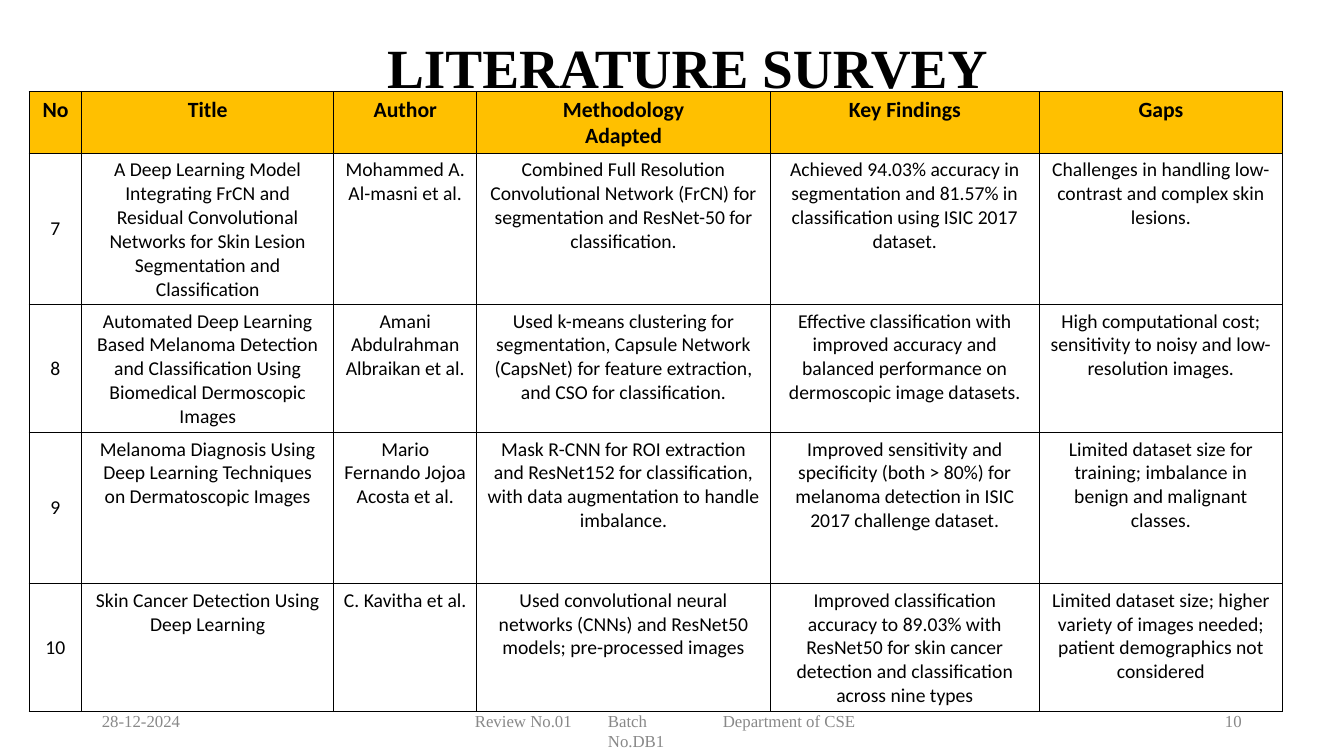
from dataclasses import dataclass

from lxml import etree
from pptx import Presentation
from pptx import util as u
from pptx.dml.color import RGBColor
from pptx.enum import text
from pptx.oxml.ns import qn


@dataclass(frozen=True)
class Theme:
    serif: str = "Times New Roman"
    sans: str = "Calibri"
    ink: str = "000000"
    gray: str = "888888"
    gold: str = "FFC000"
    white: str = "FFFFFF"
    title: float = 39.5
    head: float = 15.5
    body: float = 14
    foot: float = 12


THEME = Theme()
WIDE, HIGH = 13.33, 7.5
LEFT, TOP = 0.29, 0.91
COLS = [0.52, 2.5, 1.42, 2.91, 2.67, 2.41]
ROWS = [0.61, 1.5, 1.27, 1.5, 1.27]
FOOT = 7.06
NUDGE = 0.01

HEADS = ["No", "Title", "Author", "Methodology\nAdapted", "Key Findings", "Gaps"]
PAPERS = [
    ["7",
     "A Deep Learning Model Integrating FrCN and Residual Convolutional Networks "
     "for Skin Lesion Segmentation and Classification",
     "Mohammed A. Al-masni et al.",
     "Combined Full Resolution Convolutional Network (FrCN) for segmentation "
     "and ResNet-50 for classification.",
     "Achieved 94.03% accuracy in segmentation and 81.57% in classification "
     "using ISIC 2017 dataset.",
     "Challenges in handling low-contrast and complex skin lesions."],
    ["8",
     "Automated Deep Learning Based Melanoma Detection and Classification "
     "Using Biomedical Dermoscopic Images",
     "Amani Abdulrahman Albraikan et al.",
     "Used k-means clustering for segmentation, Capsule Network (CapsNet) "
     "for feature extraction, and CSO for classification.",
     "Effective classification with improved accuracy and balanced performance "
     "on dermoscopic image datasets.",
     "High computational cost; sensitivity to noisy and low-resolution images."],
    ["9",
     "Melanoma Diagnosis Using Deep Learning Techniques on Dermatoscopic Images",
     "Mario Fernando Jojoa Acosta et al.",
     "Mask R-CNN for ROI extraction and ResNet152 for classification, "
     "with data augmentation to handle imbalance.",
     "Improved sensitivity and specificity (both > 80%) for melanoma detection "
     "in ISIC 2017 challenge dataset.",
     "Limited dataset size for training; imbalance in benign and malignant classes."],
    ["10",
     "Skin Cancer Detection Using Deep Learning",
     "C. Kavitha et al.",
     "Used convolutional neural networks (CNNs) and ResNet50 models; "
     "pre-processed images",
     "Improved classification accuracy to 89.03% with ResNet50 for skin cancer "
     "detection and classification across nine types",
     "Limited dataset size; higher variety of images needed; "
     "patient demographics not considered"],
]
NOTES = [
    (1, 0.81, "28-12-2024"),
    (4.7, 1.05, "Review No.01"),
    (6.02, 0.95, "Batch No.DB1"),
    (7.16, 1.34, "Department of CSE"),
    (12.14, 0.24, "10"),
]


def write(frame, words, font=THEME.sans, size=THEME.body, color=THEME.ink,
          bold=False, align=text.PP_ALIGN.LEFT, lead=None, before=None):
    frame.text = words
    frame.word_wrap = True
    for para in frame.paragraphs:
        para.alignment = align
        para.line_spacing = lead
        para.space_before = before
        face = para.runs[0].font
        face.name, face.size, face.bold = font, u.Pt(size), bold
        face.color.rgb = RGBColor.from_string(color)


def pad(frame, top=0):
    frame.margin_left = u.Inches(NUDGE)
    frame.margin_right = frame.margin_bottom = 0
    frame.margin_top = u.Inches(top)
    frame.vertical_anchor = text.MSO_ANCHOR.TOP


def border(cell):
    props = cell._tc.get_or_add_tcPr()
    for side in ("lnL", "lnR", "lnT", "lnB"):
        line = etree.SubElement(props, qn("a:" + side), w=str(u.Pt(1)))
        fill = etree.SubElement(line, qn("a:solidFill"))
        etree.SubElement(fill, qn("a:srgbClr"), val=THEME.ink)


def heading(slide):
    title = slide.shapes.title
    title.left, title.top = u.Inches(3.83), u.Inches(0.31)
    title.width, title.height = u.Inches(6.06), u.Inches(0.69)
    write(title.text_frame, "LITERATURE SURVEY", font=THEME.serif,
          size=THEME.title, bold=True, before=u.Pt(1.3))
    pad(title.text_frame, top=0.02)
    title.text_frame.auto_size = text.MSO_AUTO_SIZE.NONE


def survey(slide):
    table = slide.shapes.add_table(
        len(ROWS), len(COLS), u.Inches(LEFT), u.Inches(TOP),
        u.Inches(sum(COLS)), u.Inches(sum(ROWS))).table
    table.first_row = table.horz_banding = False
    for col, wide in zip(table.columns, COLS):
        col.width = u.Inches(wide)
    for row, high in zip(table.rows, ROWS):
        row.height = u.Inches(high)
    for r, words in enumerate([HEADS] + PAPERS):
        head = r == 0
        for c, word in enumerate(words):
            cell = table.cell(r, c)
            border(cell)
            cell.margin_bottom = 0
            cell.fill.solid()
            cell.fill.fore_color.rgb = RGBColor.from_string(
                THEME.gold if head else THEME.white)
            write(cell.text_frame, word, bold=head, align=text.PP_ALIGN.CENTER,
                  size=THEME.head if head else THEME.body)
            if c == 0 and not head:
                cell.margin_top = 0
                cell.vertical_anchor = text.MSO_ANCHOR.MIDDLE


def footer(slide):
    for left, wide, words in NOTES:
        box = slide.shapes.add_textbox(
            u.Inches(left), u.Inches(FOOT), u.Inches(wide), u.Inches(0.2))
        pad(box.text_frame)
        write(box.text_frame, words, font=THEME.serif, size=THEME.foot,
              color=THEME.gray, lead=u.Pt(14.1))


def main():
    deck = Presentation()
    deck.slide_width, deck.slide_height = u.Inches(WIDE), u.Inches(HIGH)
    slide = deck.slides.add_slide(deck.slide_layouts[5])
    heading(slide)
    survey(slide)
    footer(slide)
    deck.save("out.pptx")


if __name__ == "__main__":
    main()
